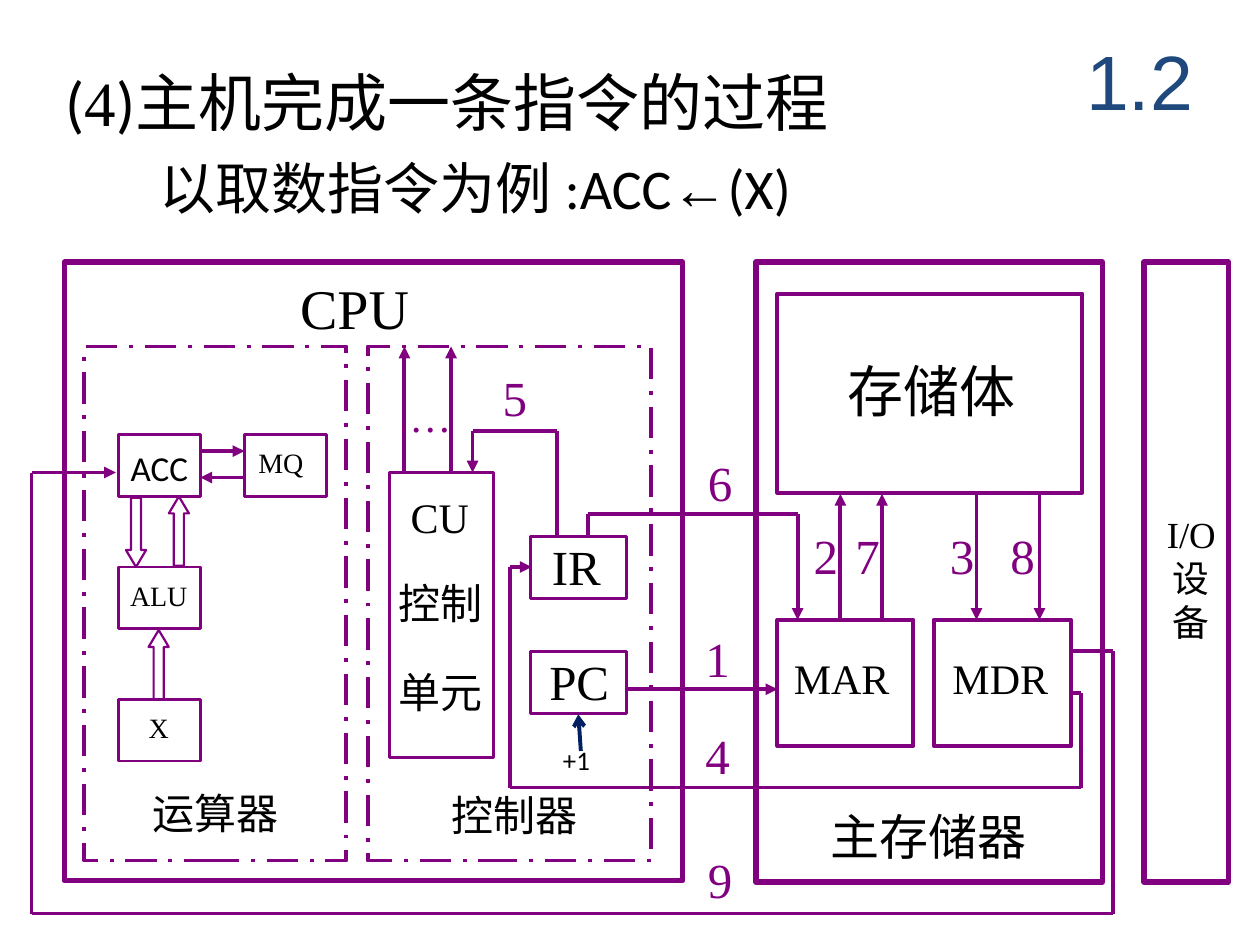
from itertools import pairwise
from lxml import etree
from pptx import Presentation
from pptx.dml.color import RGBColor
from pptx.enum.dml import MSO_LINE
from pptx.enum.shapes import MSO_CONNECTOR, MSO_SHAPE
from pptx.enum.text import MSO_ANCHOR, MSO_AUTO_SIZE, PP_ALIGN
from pptx.oxml.ns import qn
from pptx.util import Inches, Pt

PURPLE = RGBColor(0x80, 0x00, 0x80)
BLACK = RGBColor(0x00, 0x00, 0x00)
BLUE = RGBColor(0x1F, 0x49, 0x7D)
NAVY = RGBColor(0x00, 0x20, 0x60)
SERIF, SANS, ARIAL = "Times New Roman", "Calibri", "Arial"
LEFT, CENTER = PP_ALIGN.LEFT, PP_ALIGN.CENTER
TOP, MIDDLE = MSO_ANCHOR.TOP, MSO_ANCHOR.MIDDLE
RECT, UP, DOWN = MSO_SHAPE.RECTANGLE, MSO_SHAPE.UP_ARROW, MSO_SHAPE.DOWN_ARROW
DASH = MSO_LINE.LONG_DASH_DOT
STRAIGHT = MSO_CONNECTOR.STRAIGHT
NO_FIT = MSO_AUTO_SIZE.NONE
TOP_Y, BUS_Y, BOX_Y = 2.08, 3.92, 4.92

FRAMES = [
    (0.51, TOP_Y, 4.91, 4.91),
    (6, TOP_Y, 2.75, 4.92),
    (9.08, TOP_Y, 0.67, 4.92),
]
UNITS = [
    (6.17, 2.33, 2.42, 1.58),
    (6.17, BOX_Y, 1.08, 1),
    (7.41, BOX_Y, 1.09, 1),
]
ZONES = [(0.67, 2.75, 2.08, 4.08), (2.92, 2.75, 2.25, 4.08)]
PARTS = [
    (0.94, 3.45, 0.65, 0.49),
    (1.94, 3.45, 0.65, 0.49),
    (0.94, 4.5, 0.65, 0.49),
    (0.94, 5.55, 0.65, 0.49),
    (3.09, 3.75, 0.83, 2.26),
    (4.21, 4.26, 0.76, 0.49),
    (4.21, 5.17, 0.76, 0.49),
]
ARROWS = [(DOWN, 1, 3.95), (UP, 1.34, 3.94), (UP, 1.18, 5)]
WIRES = [
    [(4.98, 5.47), (6.17, 5.47)],
    [(6.67, BOX_Y), (6.67, BUS_Y)],
    [(7.75, BUS_Y), (7.75, BOX_Y)],
    [(8.5, 5.5), (8.58, 5.5), (8.58, 6.25), (4.05, 6.25), (4.05, 4.5), (4.22, 4.5)],
    [(4.42, 4.25), (4.42, 3.42), (3.75, 3.42), (3.75, 3.75)],
    [(4.67, 4.25), (4.67, 4.08), (6.33, 4.08), (6.33, BOX_Y)],
    [(7, BOX_Y), (7, BUS_Y)],
    [(8.25, BUS_Y), (8.25, BOX_Y)],
    [(8.5, 5.17), (8.83, 5.17), (8.83, 7.25), (0.25, 7.25), (0.25, 3.75), (0.92, 3.75)],
    [(3.21, 3.75), (3.21, 2.75)],
    [(3.58, 3.75), (3.58, 2.75)],
    [(1.59, 3.58), (1.94, 3.58)],
    [(1.94, 3.79), (1.59, 3.79)],
]
STEPS = [
    (5.5, 4.94), (6.36, 4.12), (7.44, 4.12), (5.5, 5.71), (3.89, 2.87),
    (5.52, 3.54), (6.69, 4.12), (7.92, 4.12), (5.52, 6.69),
]
NAMES = [
    ("CU", (3.26, 3.9, 0.99, 0.4), 24, SERIF),
    ("控制", (3.16, 4.58, 1.03, 0.4), 24, SANS),
    ("单元", (3.16, 5.29, 0.9, 0.4), 24, SANS),
    ("主存储器", (6.59, 6.4, 1.85, 0.47), 28, SANS),
    ("MDR", (7.56, 5.18, 1, 0.4), 24, SERIF),
    ("MAR", (6.3, 5.18, 1.09, 0.4), 24, SERIF),
    ("PC", (4.36, 5.17, 1.14, 0.47), 28, SERIF),
    ("IR", (4.38, 4.26, 1.04, 0.47), 28, SERIF),
    ("控制器", (3.58, 6.27, 1.42, 0.4), 24, SANS),
    ("运算器", (1.21, 6.25, 1.36, 0.4), 24, SANS),
    ("MQ", (2.05, 3.54, 0.51, 0.27), 16, SERIF),
    ("X", (1.18, 5.64, 0.46, 0.27), 16, SERIF),
]
MIDS = [
    ("存储体", (6.63, 2.83, 1.53, 0.54), 32, SANS),
    ("CPU", (2.38, 2.17, 0.87, 0.53), 32, SERIF),
    ("ACC", (1, 3.54, 0.53, 0.33), 20, SANS),
    ("ALU", (1.03, 4.59, 0.46, 0.27), 16, SERIF),
    ("I/O\n设\n备", (9.26, 4.06, 0.39, 1.05), 21, SERIF),
]


def place(at):
    return [Inches(v) for v in at]


def style(font, size, name, color):
    font.size = Pt(size)
    font.name = name
    font.color.rgb = color


def add_box(slide, at, width, kind=RECT, dash=None):
    box = slide.shapes.add_shape(kind, *place(at))
    box.shadow.inherit = False
    box.fill.background()
    box.line.color.rgb = PURPLE
    box.line.width = Pt(width)
    if dash:
        box.line.dash_style = dash
    return box


def add_arrow(slide, kind, left, top):
    arrow = add_box(slide, (left, top, 0.16, 0.55), 1.25, kind)
    arrow.adjustments[0] = 0.5
    arrow.adjustments[1] = 0.84


def add_wire(slide, points, color=PURPLE, head="triangle"):
    for start, end in pairwise(points):
        line = slide.shapes.add_connector(STRAIGHT, *place(start + end))
        line.line.color.rgb = color
        line.line.width = Pt(2.25)
        props = line.element.spPr
        if end == points[-1]:
            etree.SubElement(props.find(qn("a:ln")), qn("a:tailEnd"), type=head)
        etree.SubElement(props, qn("a:effectLst"))


def add_label(slide, text, at, size, name, color=BLACK, align=LEFT, pad=0, wrap=True):
    box = slide.shapes.add_textbox(*place(at))
    frame = box.text_frame
    frame.margin_left = frame.margin_right = Inches(pad)
    frame.margin_top = frame.margin_bottom = Inches(pad / 2)
    frame.word_wrap = wrap
    frame.text = text
    for para in frame.paragraphs:
        para.alignment = align
        style(para.font, size, name, color)
    return frame


def add_runs(frame, runs, size):
    para = frame.paragraphs[0]
    para.alignment = LEFT
    for text, name in runs:
        run = para.add_run()
        run.text = text
        style(run.font, size, name, BLACK)


def add_heads(slide):
    title = slide.shapes.title
    title.left, title.top, title.width, title.height = place((0.42, 0.45, 7.25, 0.7))
    frame = title.text_frame
    frame.auto_size = NO_FIT
    frame.vertical_anchor = TOP
    add_runs(frame, [("(", SANS), ("4", SERIF), (")主机完成一条指令的过程", SANS)], 36)
    box = slide.shapes.add_textbox(*place((1.17, 1.17, 7.14, 0.64)))
    box.text_frame.word_wrap = True
    add_runs(box.text_frame, [("以取数指令为例 :ACC", SANS), ("←", ARIAL), ("(X)", SANS)], 32)
    mark = add_label(slide, "1.2", (8.42, 0.17, 1.25, 0.92), 44, ARIAL, BLUE, CENTER, 0.1)
    mark.vertical_anchor = MIDDLE


def main():
    deck = Presentation()
    deck.slide_width, deck.slide_height = Inches(10), Inches(7.5)
    slide = deck.slides.add_slide(deck.slide_layouts[5])
    add_heads(slide)
    for at in FRAMES:
        add_box(slide, at, 3)
    for at in UNITS:
        add_box(slide, at, 2.25)
    for at in ZONES:
        add_box(slide, at, 2.25, dash=DASH)
    for at in PARTS:
        add_box(slide, at, 1.64)
    for kind, left, top in ARROWS:
        add_arrow(slide, kind, left, top)
    for points in WIRES:
        add_wire(slide, points)
    add_wire(slide, [(4.61, 5.96), (4.59, 5.67)], NAVY, "arrow")
    for number, (left, top) in enumerate(STEPS, 1):
        at = (left, top, 0.39, 0.57)
        add_label(slide, str(number), at, 28, SERIF, PURPLE, CENTER, 0.1, False)
    for text, at, size, name in NAMES:
        add_label(slide, text, at, size, name)
    for text, at, size, name in MIDS:
        add_label(slide, text, at, size, name, align=CENTER, wrap=False)
    add_label(slide, "…", (3.15, 3.05, 0.53, 0.5), 24, SERIF, PURPLE, pad=0.1, wrap=False)
    plus = add_label(slide, "+1", (4.37, 5.88, 0.47, 0.35), 15.3, SANS, pad=0.1)
    plus.paragraphs[0].line_spacing = 0.9
    deck.save("out.pptx")


if __name__ == "__main__":
    main()
